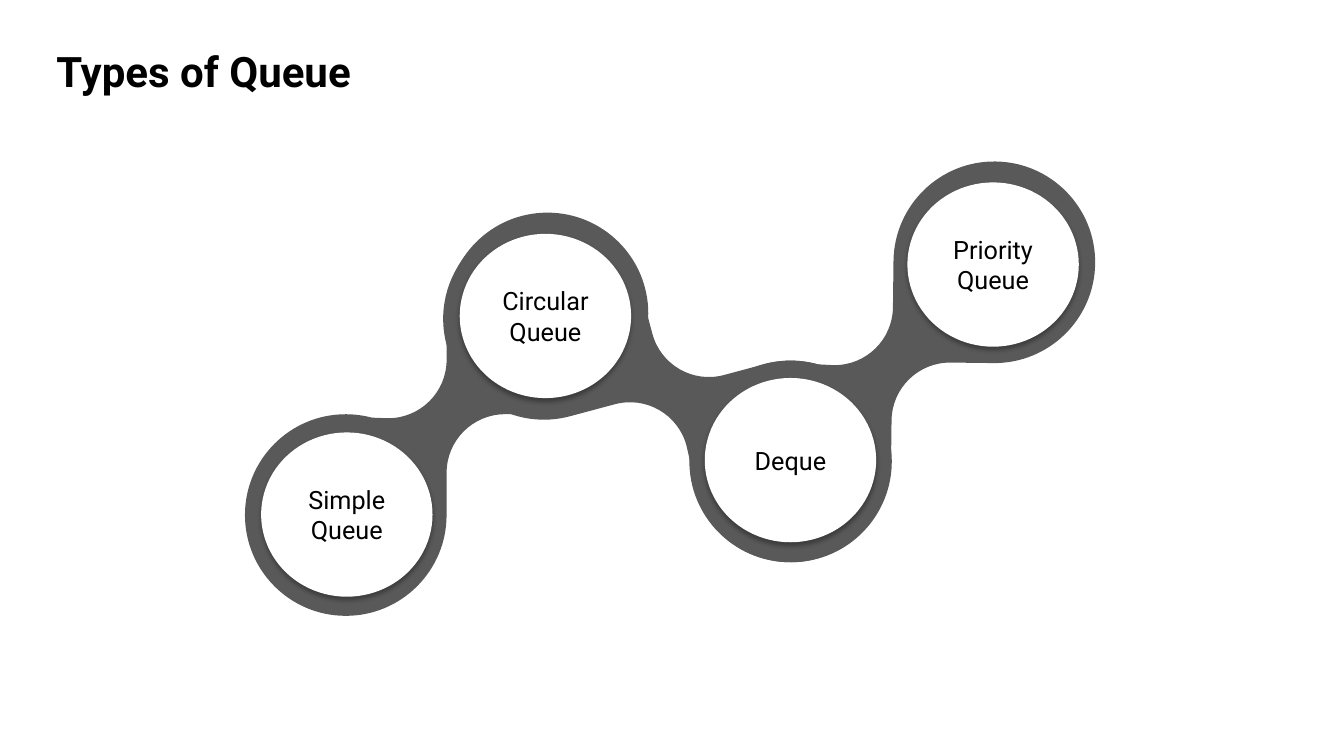
from itertools import pairwise
from math import cos, radians, sin, tan
from lxml.etree import Element, SubElement
from pptx import Presentation
from pptx.dml.color import RGBColor
from pptx.enum.shapes import MSO_SHAPE as Shape
from pptx.enum.text import MSO_ANCHOR as Anchor, PP_ALIGN as Align
from pptx.oxml.ns import qn
from pptx.util import Inches, Pt

WIDE, HIGH = 13.33, 7.5
GREY, WHITE, BLACK = "595959", "FFFFFF", "000000"
TITLE = {"name": "Roboto", "size": Pt(30), "bold": True}
LABEL = {"name": "Roboto", "size": Pt(18), "bold": False}

# Arcs on a 4 by 4 grid: centre x, centre y, radius, stops in degrees
ARCS = [(3, 1, 1, (180, 270, 360, 450)), (2.58, 2.58, 0.58, (270, 180)),
        (1, 3, 1, (0, 90, 180, 270, 285)), (1.42, 1.46, 0.58, (90, 0))]

# Each link: left, top, turn, then its discs as label, left, top
LINK = 4
DISC = 1.7, 1.63
CHAIN = [(6.85, 1.59, 0.7, [("Priority Queue", 9, 1.81)]),
         (4.62, 1.87, 255, [("Deque", 6.99, 3.75)]),
         (2.43, 2.11, 0, [("Circular Queue", 4.56, 2.32),
                          ("Simple Queue", 2.59, 4.29)])]


def color(code):
    return RGBColor.from_string(code)


def paint(shape, code):
    shape.shadow.inherit = False
    shape.fill.solid()
    shape.fill.fore_color.rgb = color(code)
    shape.line.fill.background()


def write(shape, text, look, align):
    frame = shape.text_frame
    frame.word_wrap = True
    frame.vertical_anchor = Anchor.MIDDLE
    para = frame.paragraphs[0]
    para.text, para.alignment = text, align
    for key, value in look.items():
        setattr(para.font, key, value)
    para.font.color.rgb = color(BLACK)


def shade(shape):
    """Give the shape a soft shadow that falls straight down."""
    effects = shape._element.spPr.find(qn("a:effectLst"))
    outer = SubElement(effects, qn("a:outerShdw"), blurRad=str(Pt(3.5)),
                       dist=str(Pt(2.2)), dir="5400000", rotWithShape="0")
    tint = SubElement(outer, qn("a:srgbClr"), val=BLACK)
    SubElement(tint, qn("a:alpha"), val="32000")


def head(slide, left, top, width, height):
    title = slide.shapes.title
    title.left, title.top = Inches(left), Inches(top)
    title.width, title.height = Inches(width), Inches(height)
    write(title, "Types of Queue", TITLE, Align.LEFT)


def curve(arc, start, end):
    """Return two handles and the end point of one Bezier piece of an arc."""
    mid_x, mid_y, radius, _ = arc
    pull = 4 / 3 * tan(radians(end - start) / 4)

    def spot(angle, shift):
        turn = radians(angle)
        return (mid_x + radius * (cos(turn) - shift * sin(turn)),
                mid_y + radius * (sin(turn) + shift * cos(turn)))

    return spot(start, pull), spot(end, -pull), spot(end, 0)


def outline():
    """List the pieces of the link: one point for a line, three for a curve."""
    pieces = []
    for arc in ARCS:
        stops = arc[3]
        pieces.append([curve(arc, stops[0], stops[0])[2]])
        pieces += [curve(arc, *pair) for pair in pairwise(stops)]
    return pieces


def bend(lines, pieces, unit):
    """Swap straight pieces of the path for the curves they stand for."""
    for line, piece in zip(lines, pieces):
        if len(piece) == 3:
            bow = Element(qn("a:cubicBezTo"))
            for x, y in piece:
                SubElement(bow, qn("a:pt"), x=str(Inches(unit * x)), y=str(Inches(unit * y)))
            line.getparent().replace(line, bow)


def link(slide, left, top, size, turn):
    """Draw two lobes joined by a curved neck in a square box."""
    unit = size / 4
    pieces = outline()
    nodes = [(Inches(left + unit * x), Inches(top + unit * y))
             for x, y in (piece[-1] for piece in pieces)]
    pen = slide.shapes.build_freeform(*nodes[0])
    pen.add_line_segments(nodes[1:], close=True)
    shape = pen.convert_to_shape()
    shape.rotation = turn
    bend(list(shape._element.iter(qn("a:lnTo"))), pieces[1:], unit)
    paint(shape, GREY)


def disc(slide, text, left, top, width, height):
    box = map(Inches, (left, top, width, height))
    shape = slide.shapes.add_shape(Shape.OVAL, *box)
    paint(shape, WHITE)
    shade(shape)
    write(shape, text, LABEL, Align.CENTER)


def main():
    deck = Presentation()
    deck.slide_width, deck.slide_height = Inches(WIDE), Inches(HIGH)
    slide = deck.slides.add_slide(deck.slide_layouts[5])
    head(slide, 0.46, 0.4, WIDE / 2, 0.61)
    for left, top, turn, discs in CHAIN:
        link(slide, left, top, LINK, turn)
        for text, x, y in discs:
            disc(slide, text, x, y, *DISC)
    deck.save("out.pptx")


if __name__ == "__main__":
    main()
